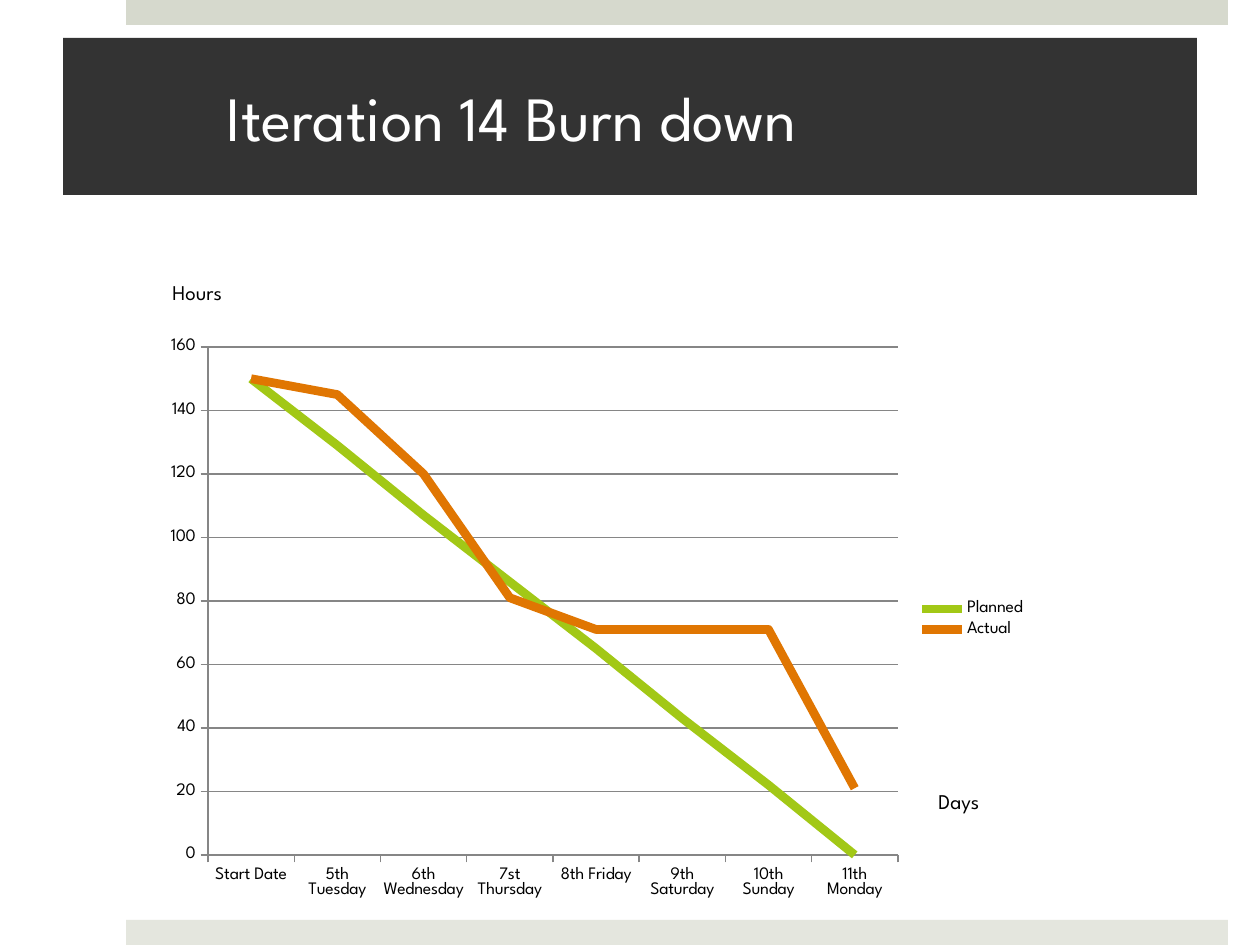
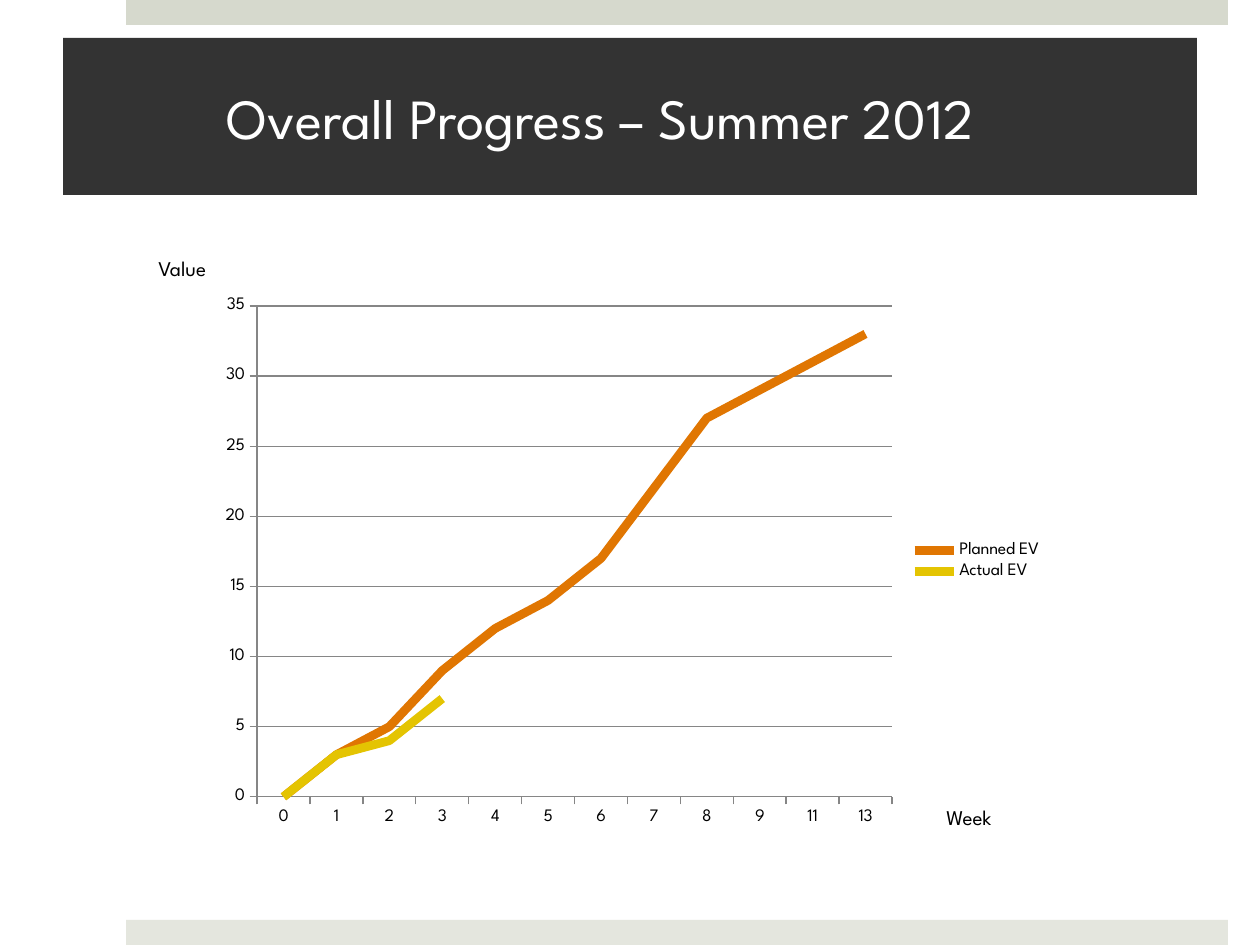
from lxml import etree
from pptx import Presentation
from pptx import util as u
from pptx.chart import data as chart_data
from pptx.dml import color
from pptx.enum import chart as chart_enum, shapes, text
from pptx.oxml import ns

EMU_PER_PX = 914400 / 126
FONT = "League Spartan"
INK, WHITE, GRID = "000000", "FFFFFF", "868686"
TITLE_FILL, TOP_BAND, BOTTOM_BAND = "333333", "D6D9CD", "E4E6DE"
GREEN, ORANGE, YELLOW = "A2C816", "E07602", "E4C402"


def px(length):
    return u.Emu(round(length * EMU_PER_PX))


def rgb(value):
    return color.RGBColor.from_string(value)


def set_font(font, size, value):
    font.name = FONT
    font.size = u.Pt(size)
    font.color.rgb = rgb(value)


def fill_shape(shape, value):
    shape.fill.solid()
    shape.fill.fore_color.rgb = rgb(value)
    shape.line.fill.background()


def add_band(slide, box, value):
    band = slide.shapes.add_shape(shapes.MSO_SHAPE.RECTANGLE, *map(px, box))
    band.shadow.inherit = False
    fill_shape(band, value)


def set_title(slide, box, wording, size):
    title = slide.shapes.title
    title.left, title.top, title.width, title.height = map(px, box)
    fill_shape(title, TITLE_FILL)
    frame = title.text_frame
    frame.text = wording
    frame.word_wrap = True
    frame.auto_size = text.MSO_AUTO_SIZE.NONE
    frame.vertical_anchor = text.MSO_ANCHOR.MIDDLE
    frame.margin_left, frame.margin_right = px(164), px(38)
    frame.margin_top = frame.margin_bottom = px(6)
    paragraph = frame.paragraphs[0]
    paragraph.alignment = text.PP_ALIGN.LEFT
    set_font(paragraph.font, size, WHITE)


def add_axis_caption(slide, box, wording):
    caption = slide.shapes.add_textbox(*map(px, box))
    frame = caption.text_frame
    frame.word_wrap = False
    frame.auto_size = text.MSO_AUTO_SIZE.SHAPE_TO_FIT_TEXT
    paragraph = frame.paragraphs[0]
    paragraph.text = wording
    set_font(paragraph.font, 12, INK)


def set_plot_area(chart, box, plot):
    left, top, width, height = box
    fractions = {
        "x": (plot[0] - left) / width,
        "y": (plot[1] - top) / height,
        "w": plot[2] / width,
        "h": plot[3] / height,
    }
    plot_area = chart.plots[0]._element.getparent()
    for old in plot_area.findall(ns.qn("c:layout")):
        plot_area.remove(old)
    layout = etree.Element(ns.qn("c:layout"))
    plot_area.insert(0, layout)
    manual = etree.SubElement(layout, ns.qn("c:manualLayout"))
    settings = {"layoutTarget": "inner", "xMode": "edge", "yMode": "edge"}
    settings.update({key: f"{value:.4f}" for key, value in fractions.items()})
    for tag, value in settings.items():
        etree.SubElement(manual, ns.qn("c:" + tag)).set("val", value)


def add_line_chart(slide, box, plot, categories, lines, top_value, step):
    data = chart_data.CategoryChartData(number_format="General")
    data.categories = categories
    for name, values, _ in lines:
        data.add_series(name, values + [None] * (len(categories) - len(values)))
    chart = slide.shapes.add_chart(
        chart_enum.XL_CHART_TYPE.LINE, *map(px, box), data).chart
    chart.has_title = False
    set_font(chart.font, 10, INK)
    chart.has_legend = True
    chart.legend.position = chart_enum.XL_LEGEND_POSITION.RIGHT
    chart.legend.include_in_layout = False
    chart.plots[0].vary_by_categories = False
    for series, (_, _, value) in zip(chart.plots[0].series, lines):
        series.smooth = False
        series.marker.style = chart_enum.XL_MARKER_STYLE.NONE
        series.format.line.width = u.Pt(5)
        series.format.line.color.rgb = rgb(value)
    value_axis = chart.value_axis
    value_axis.minimum_scale, value_axis.maximum_scale = 0, top_value
    value_axis.major_unit = step
    value_axis.has_major_gridlines = True
    value_axis.tick_labels.number_format = "0"
    value_axis.tick_labels.number_format_is_linked = False
    for part in (value_axis, chart.category_axis, value_axis.major_gridlines):
        part.format.line.width = u.Pt(0.75)
        part.format.line.color.rgb = rgb(GRID)
    for axis in (value_axis, chart.category_axis):
        axis.major_tick_mark = chart_enum.XL_TICK_MARK.OUTSIDE
    set_plot_area(chart, box, plot)


def add_chart_slide(presentation, title, title_size):
    slide = presentation.slides.add_slide(presentation.slide_layouts[5])
    slide.background.fill.solid()
    slide.background.fill.fore_color.rgb = rgb(WHITE)
    add_band(slide, (126, 0, 1102, 25), TOP_BAND)
    add_band(slide, (126, 920, 1102, 25), BOTTOM_BAND)
    set_title(slide, (63, 38, 1134, 157), title, title_size)
    return slide


def add_burn_down(presentation):
    slide = add_chart_slide(presentation, "Iteration 14 Burn down", 36)
    add_axis_caption(slide, (160, 273, 77, 38), "Hours")
    add_axis_caption(slide, (926, 782, 68, 38), "Days")
    days = ["Start Date", "5th Tuesday", "6th Wednesday", "7st Thursday",
            "8th Friday", "9th Saturday", "10th Sunday", "11th Monday"]
    lines = [("Planned", [150, 129, 107, 86, 65, 43, 22, 0], GREEN),
             ("Actual", [150, 145, 120, 81, 71, 71, 71, 21], ORANGE)]
    add_line_chart(slide, (154, 328, 885, 583), (208, 347, 690, 508),
                   days, lines, 160, 20)


def add_progress(presentation):
    slide = add_chart_slide(presentation, "Overall Progress – Summer 2012", 32.4)
    add_axis_caption(slide, (934, 798, 76, 38), "Week")
    add_axis_caption(slide, (146, 249, 74, 38), "Value")
    weeks = [str(week) for week in (*range(10), 11, 13)]
    planned = [0, 3, 5, 9, 12, 14, 17, 22, 27, 29, 31, 33]
    lines = [("Planned EV", planned, ORANGE),
             ("Actual EV", [0, 3, 4, 7], YELLOW)]
    add_line_chart(slide, (208, 287, 847, 548), (257, 306, 635, 491),
                   weeks, lines, 35, 5)


def main():
    presentation = Presentation()
    presentation.slide_width, presentation.slide_height = px(1260), px(945)
    add_burn_down(presentation)
    add_progress(presentation)
    presentation.save("out.pptx")


if __name__ == "__main__":
    main()
